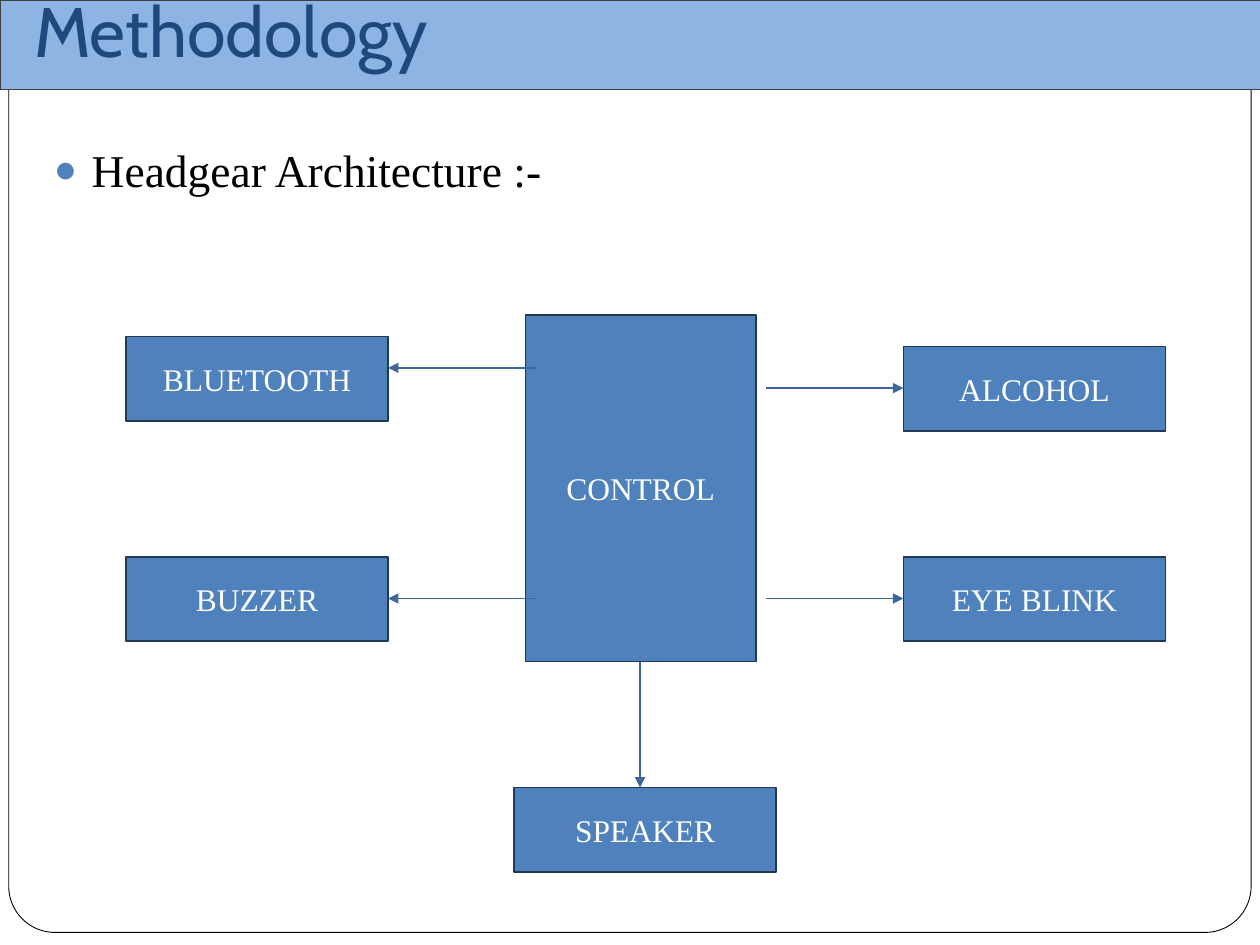
from pptx import Presentation
from pptx.dml.color import RGBColor
from pptx.enum.shapes import MSO_CONNECTOR as Link, MSO_SHAPE as Shape
from pptx.enum.text import MSO_ANCHOR as Anchor, PP_ALIGN as Align
from pptx.oxml import parse_xml
from pptx.oxml.ns import nsdecls
from pptx.util import Inches, Pt

SERIF = "Times New Roman"
BLUE, EDGE, ARROW = "4F81BD", "233953", "3B679C"


def color(code):
    """Turn a hex string into a colour."""
    return RGBColor.from_string(code)


def xml(tag, rest=""):
    """Make one drawing element."""
    return parse_xml(f"<a:{tag} {nsdecls('a')} {rest}")


def stroke(line, code, width):
    """Set the colour and width of a line."""
    line.color.rgb = color(code)
    line.width = Pt(width)


def write(frame, text, size, font, code, **form):
    """Write one paragraph and format its frame."""
    para = frame.paragraphs[0]
    run = para.add_run()
    run.text = text
    run.font.color.rgb = color(code)
    for key, value in {"size": Pt(size), "name": font}.items():
        setattr(run.font, key, value)
    for key, value in {"word_wrap": True, **form}.items():
        setattr(frame, key, value)
    return para


def block(slide, box, fill, edge, width, kind=Shape.RECTANGLE):
    """Add a filled shape with an outline."""
    shape = slide.shapes.add_shape(kind, *map(Inches, box))
    shape.shadow.inherit = False
    shape.fill.solid()
    shape.fill.fore_color.rgb = color(fill)
    stroke(shape.line, edge, width)
    return shape


def node(slide, box, text):
    """Add a labelled box of the diagram."""
    shape = block(slide, box, BLUE, EDGE, 1)
    para = write(shape.text_frame, text, 18, SERIF, "FFFFFF",
                 vertical_anchor=Anchor.MIDDLE)
    para.alignment = Align.CENTER


def arrow(slide, *ends):
    """Add an arrow between two points."""
    link = slide.shapes.add_connector(Link.STRAIGHT, *map(Inches, ends))
    stroke(link.line, ARROW, 0.75)
    link.line._get_or_add_ln().append(xml("tailEnd", 'type="triangle"/>'))
    link._element.spPr.append(xml("effectLst", "/>"))


def header(slide, left, top, wide, high):
    """Add the page frame and the title on its band."""
    page = block(slide, (left + 0.07, top + 0.08, 9.86, 7.32), "FFFFFF",
                 "000000", 0.5, Shape.ROUNDED_RECTANGLE)
    page.adjustments[0] = 0.05
    block(slide, (left, top, wide, high), "8EB4E3", "404040", 0.75)
    title = slide.shapes.title
    slide.shapes._spTree.append(title._element)
    place = {"left": left + 0.17, "top": top + 0.03,
             "width": wide - 0.2, "height": high - 0.07}
    for key, value in place.items():
        setattr(title, key, Inches(value))
    para = write(title.text_frame, "Methodology", 40, "Cabin", "1F497D",
                 vertical_anchor=Anchor.BOTTOM, margin_bottom=Inches(0.1))
    para.alignment = Align.LEFT


def topic(slide, *box):
    """Add the bullet line above the diagram."""
    text = slide.shapes.add_textbox(*map(Inches, box))
    para = write(text.text_frame, "Headgear Architecture :-", 26, SERIF,
                 "000000")
    para.space_before = Pt(5.8)
    props = para._p.get_or_add_pPr()
    props.set("marL", str(Inches(0.3)))
    props.set("indent", str(-Inches(0.3)))
    for tag, rest in (("buClr", f'><a:srgbClr val="{BLUE}"/></a:buClr>'),
                      ("buSzPct", 'val="85000"/>'),
                      ("buFont", 'typeface="Arial"/>'),
                      ("buChar", 'char="●"/>')):
        props.append(xml(tag, rest))


def diagram(slide, left, top):
    """Add the controller, its parts and the arrows to them."""
    wide, high = 2.08, 0.67
    far, low = left + 6.17, top + 1.92
    node(slide, (left + 3.17, top, 1.83, 2.75), "CONTROL")
    for x, y, text in ((left, top + 0.17, "BLUETOOTH"),
                       (left, low, "BUZZER"),
                       (left + 3.08, top + 3.75, "SPEAKER"),
                       (far, low, "EYE BLINK"),
                       (far, top + 0.25, "ALCOHOL")):
        node(slide, (x, y, wide, high), text)
    for start, end, first in ((left + 3.25, left + wide, 0.42),
                              (left + 5.08, far, 0.58)):
        for drop in (first, 2.25):
            arrow(slide, start, top + drop, end, top + drop)
    mid = left + 4.08
    arrow(slide, mid, top + 2.75, mid, top + 3.75)


def main():
    """Build and save the slide."""
    deck = Presentation()
    deck.slide_width, deck.slide_height = Inches(10), Inches(7.5)
    slide = deck.slides.add_slide(deck.slide_layouts[5])
    header(slide, 0, 0, 10.03, 0.71)
    topic(slide, 0.33, 1.08, 9.17, 6.08)
    diagram(slide, 1, 2.5)
    deck.save("out.pptx")


main()
